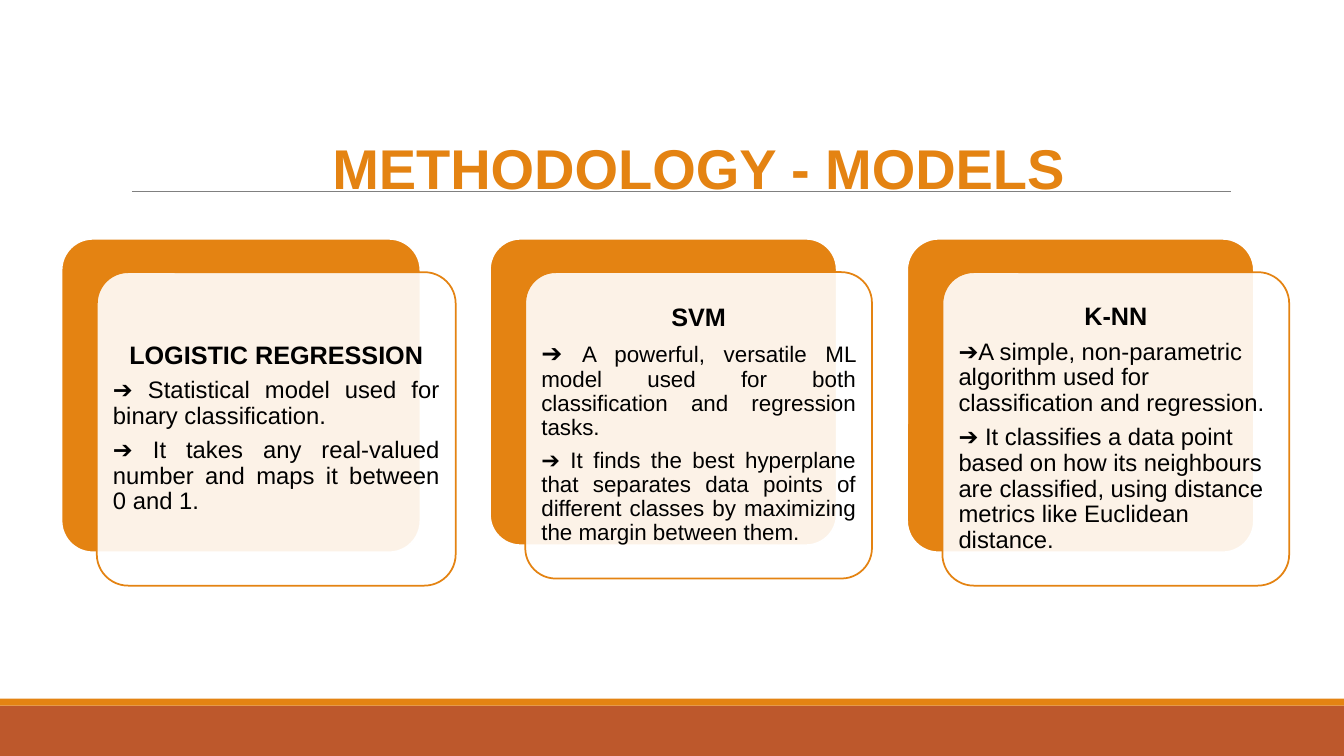
from lxml.etree import SubElement
from pptx import Presentation
from pptx.dml.color import RGBColor
from pptx.enum.shapes import MSO_CONNECTOR, MSO_SHAPE
from pptx.enum.text import MSO_ANCHOR, PP_ALIGN
from pptx.oxml.ns import qn
from pptx.util import Pt

COLORS = {
    "orange": "E48312",
    "rust": "BD582C",
    "gray": "808080",
    "white": "FFFFFF",
    "black": "000000",
}
WIDTH, HEIGHT = 960, 540
CARD_TOP, CARD_OFFSET = 170.6, (25.2, 23.8)
TEXT_INSET = 6.5

deck = Presentation()
deck.slide_width, deck.slide_height = Pt(WIDTH), Pt(HEIGHT)
page = deck.slides.add_slide(deck.slide_layouts[6])


def add_block(kind, left, top, width, height, fill, line=None):
    block = page.shapes.add_shape(kind, Pt(left), Pt(top), Pt(width), Pt(height))
    block.shadow.inherit = False
    block.fill.solid()
    block.fill.fore_color.rgb = RGBColor.from_string(COLORS[fill])
    if line:
        block.line.color.rgb = RGBColor.from_string(COLORS[line])
        block.line.width = Pt(1.25)
        block.adjustments[0] = 0.1
    else:
        block.line.fill.background()
    return block


def add_span(para, text, size, bold=False, color="black"):
    span = para.add_run()
    span.text = text
    span.font.name = "Arial"
    span.font.size = Pt(size)
    span.font.bold = bold
    span.font.color.rgb = RGBColor.from_string(COLORS[color])


add_block(MSO_SHAPE.RECTANGLE, 0, 504, WIDTH, 36, "rust")
add_block(MSO_SHAPE.RECTANGLE, 0, 499, WIDTH, 5, "orange")

rule = page.shapes.add_connector(
    MSO_CONNECTOR.STRAIGHT, Pt(94.3), Pt(136.8), Pt(879), Pt(136.8))
rule.line.color.rgb = RGBColor.from_string(COLORS["gray"])
rule.line.width = Pt(0.5)
SubElement(rule.element.spPr, qn("a:effectLst"))

title = page.shapes.add_textbox(Pt(203), Pt(97.2), Pt(592), Pt(46))
title.text_frame.word_wrap = True
title.text_frame.margin_left = title.text_frame.margin_right = 0
heading = title.text_frame.paragraphs[0]
heading.alignment = PP_ALIGN.CENTER
heading.line_spacing = 0.9
heading.space_before = Pt(3)
add_span(heading, "METHODOLOGY - MODELS", 40, bold=True, color="orange")

cards = [
    (44, 256.3, 223.9, PP_ALIGN.JUSTIFY, [
        [("LOGISTIC REGRESSION", 18, True)],
        [("➔ Statistical model used for binary classification.", 17, False)],
        [("➔ It takes any real-valued number and maps it between 0 and 1.", 17, False)],
    ]),
    (350, 247.7, 218.9, PP_ALIGN.JUSTIFY, [
        [("SVM", 18, True)],
        [("➔ ", 18, True),
         ("A powerful, versatile ML model used for both classification "
          "and regression tasks.", 16, False)],
        [("➔ It finds the best hyperplane that separates data points of different "
          "classes by maximizing the margin between them.", 16, False)],
    ]),
    (648, 247.7, 223.9, PP_ALIGN.LEFT, [
        [("K-NN", 18, True)],
        [("➔A simple, non-parametric algorithm used for classification "
          "and regression.", 17, False)],
        [("➔ It classifies a data point based on how its neighbours are classified, "
          "using distance metrics like Euclidean distance.", 17, False)],
    ]),
]

for left, width, height, alignment, paragraphs in cards:
    add_block(MSO_SHAPE.ROUNDED_RECTANGLE, left, CARD_TOP, width, height,
              "orange", line="white")
    front_left, front_top = left + CARD_OFFSET[0], CARD_TOP + CARD_OFFSET[1]
    front = add_block(MSO_SHAPE.ROUNDED_RECTANGLE, front_left, front_top, width, height,
                      "white", line="orange")
    fill_color = front.element.spPr.find(qn("a:solidFill"))[0]
    SubElement(fill_color, qn("a:alpha"), val="90000")

    box = page.shapes.add_textbox(
        Pt(front_left + TEXT_INSET), Pt(front_top + TEXT_INSET),
        Pt(width - 2 * TEXT_INSET), Pt(height - 2 * TEXT_INSET))
    frame = box.text_frame
    frame.word_wrap = True
    frame.vertical_anchor = MSO_ANCHOR.MIDDLE
    frame.margin_left = frame.margin_right = Pt(5)
    frame.margin_top = frame.margin_bottom = Pt(5)
    for index, spans in enumerate(paragraphs):
        para = frame.add_paragraph() if index else frame.paragraphs[0]
        para.alignment = alignment if index else PP_ALIGN.CENTER
        para.line_spacing = 0.9
        para.space_after = Pt(6)
        for text, size, bold in spans:
            add_span(para, text, size, bold=bold)

deck.save("out.pptx")
